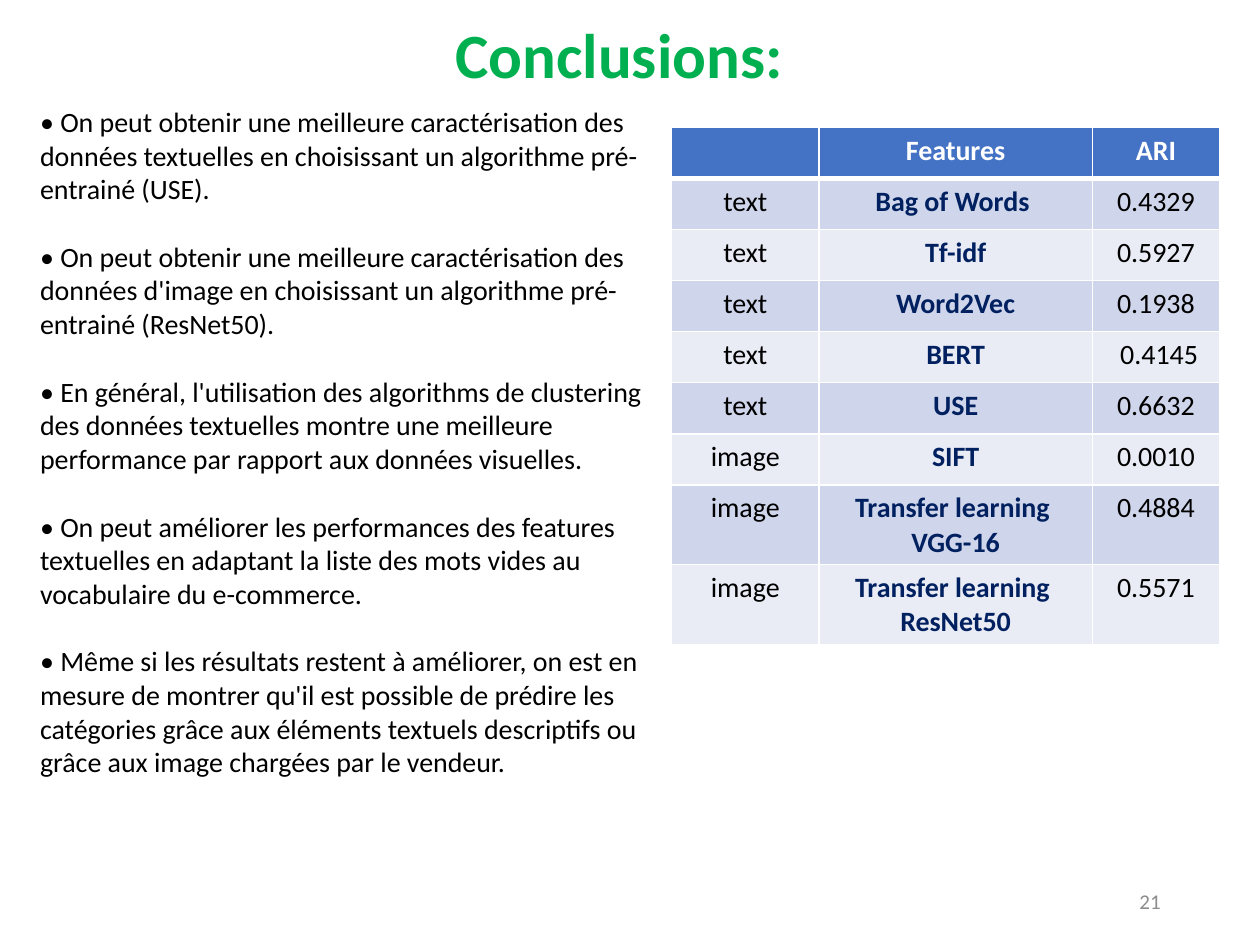
from pptx import Presentation
from pptx.dml.color import RGBColor as RGB
from pptx.enum.text import MSO_ANCHOR as Anchor, PP_ALIGN as Align
from pptx.oxml import parse_xml
from pptx.oxml.ns import nsdecls
from pptx.util import Inches, Pt

WIDE, HIGH = 10, 7.5
FONT = "Calibri"
INK = {
    "title": "00B050", "body": "000000", "name": "002060", "page": "8C8C8C",
    "head": "4472C4", "odd": "CFD5EA", "even": "E9EBF5", "white": "FFFFFF",
}

# Regions as left, top, width, height in inches
BOX = {
    "title": (0.15, 0.07, 9.53, 0.71),
    "points": (0.22, 0.78, 5, 5.49),
    "scores": (5.33, 1.01, 4.35, 3.65),
    "page": (7.06, 6.95, 2.25, 0.4),
}

POINTS = [
    "• On peut obtenir une meilleure caractérisation des données textuelles en choisissant un algorithme pré-entrainé (USE).",
    "• On peut obtenir une meilleure caractérisation des données d'image en choisissant un algorithme pré-entrainé (ResNet50).",
    "• En général, l'utilisation des algorithms de clustering des données textuelles montre une meilleure performance par rapport aux données visuelles.",
    "• On peut améliorer les performances des features textuelles en adaptant la liste des mots vides au vocabulaire du e-commerce.",
    "• Même si les résultats restent à améliorer, on est en mesure de montrer qu'il est possible de prédire les catégories grâce aux éléments textuels descriptifs ou grâce aux image chargées par le vendeur.",
]

SCORES = [
    ("", "Features", "ARI"),
    ("text", "Bag of Words ", "0.4329"),
    ("text", "Tf-idf", "0.5927"),
    ("text", "Word2Vec", "0.1938"),
    ("text", "BERT", " 0.4145"),
    ("text", "USE", "0.6632"),
    ("image", "SIFT", "0.0010"),
    ("image", "Transfer learning \nVGG-16", "0.4884"),
    ("image", "Transfer learning \nResNet50", "0.5571"),
]
COLS = (1.17, 2.17, 1.01)


def style(frame, size, ink, bold=False, align=Align.LEFT, gap=0):
    for i, para in enumerate(frame.paragraphs):
        para.alignment = align
        if i and gap:
            para.space_before = Pt(gap)
        for run in para.runs:
            font = run.font
            font.name, font.size, font.bold = FONT, Pt(size), bold
            font.color.rgb = RGB.from_string(INK[ink])


def add_text(slide, box, text, anchor=Anchor.TOP, **look):
    frame = slide.shapes.add_textbox(*map(Inches, box)).text_frame
    frame.word_wrap = True
    frame.vertical_anchor = anchor
    frame.text = text
    style(frame, **look)


def add_edges(cell, top, base):
    props = cell._tc.get_or_add_tcPr()
    for side, width in zip("LRTB", (1, 1, top, base)):
        props.append(parse_xml(
            f'<a:ln{side} {nsdecls("a")} w="{Pt(width)}"><a:solidFill>'
            f'<a:srgbClr val="{INK["white"]}"/></a:solidFill></a:ln{side}>'))


def add_scores(slide, box):
    shape = slide.shapes.add_table(len(SCORES), len(COLS), *map(Inches, box))
    table = shape.table
    for col, share in zip(table.columns, COLS):
        col.width = Inches(box[2] * share / sum(COLS))
    for r, row in enumerate(SCORES):
        fill = ("even", "odd")[r % 2] if r else "head"
        for c, text in enumerate(row):
            cell = table.cell(r, c)
            # The rule under the header is thicker than the others
            add_edges(cell, 3 if r == 1 else 1, 1 if r else 3)
            cell.fill.solid()
            cell.fill.fore_color.rgb = RGB.from_string(INK[fill])
            cell.text_frame.text = text
            ink = "white" if r == 0 else "name" if c == 1 else "body"
            style(cell.text_frame, 16, ink, ink != "body", Align.CENTER)


def main():
    deck = Presentation()
    deck.slide_width, deck.slide_height = Inches(WIDE), Inches(HIGH)
    slide = deck.slides.add_slide(deck.slide_layouts[6])

    # Page number and title
    add_text(slide, BOX["page"], "21", Anchor.MIDDLE,
             size=12, ink="page", align=Align.RIGHT)
    add_text(slide, BOX["title"], "Conclusions:",
             size=36, ink="title", bold=True, align=Align.CENTER)

    # Scores on the right, findings on the left
    add_scores(slide, BOX["scores"])
    add_text(slide, BOX["points"], "\n".join(POINTS),
             size=16, ink="body", gap=19.5)

    deck.save("out.pptx")


if __name__ == "__main__":
    main()
